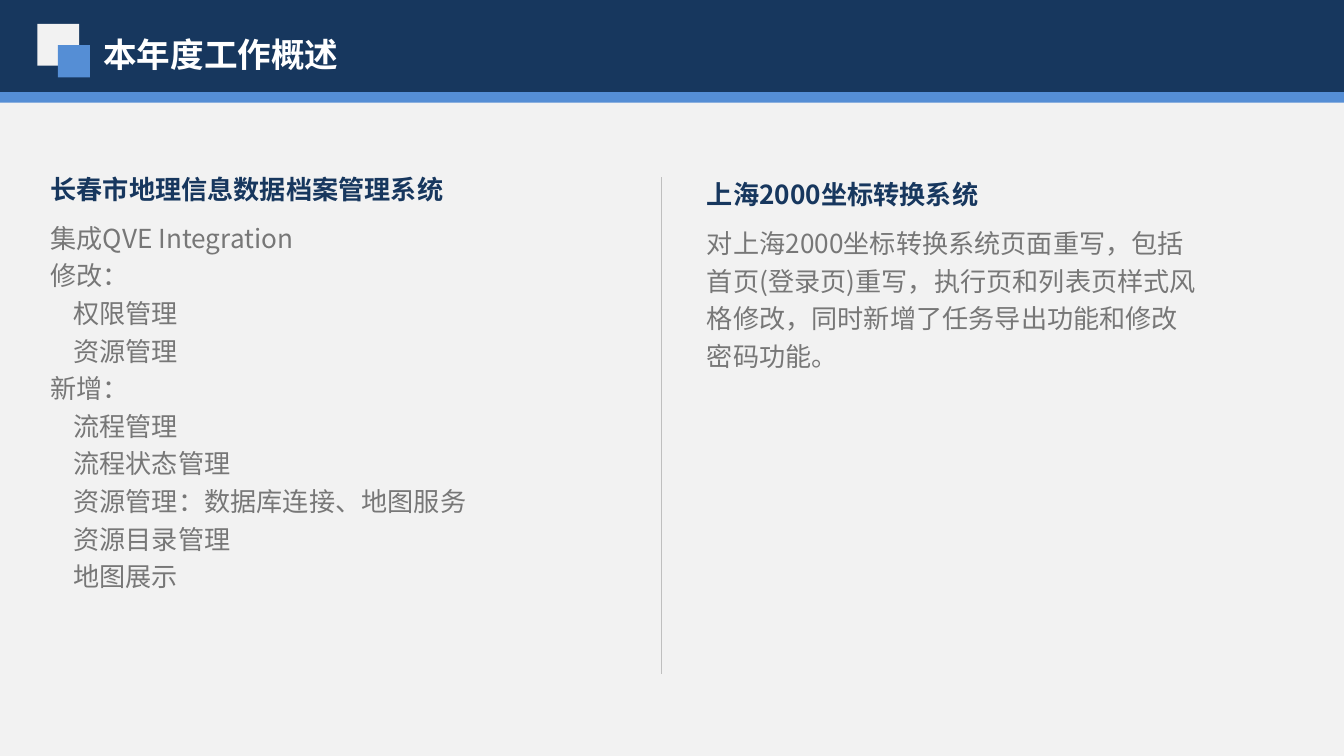
from lxml.etree import SubElement
from pptx import Presentation
from pptx.dml.color import RGBColor
from pptx.enum.shapes import MSO_CONNECTOR, MSO_SHAPE
from pptx.oxml.ns import qn
from pptx.util import Pt

WIDTH, HEIGHT = 720, 405
FONT = "Noto Sans CJK SC"
INDENT = 12.3
COLORS = {
    "background": "F2F2F2",
    "navy": "17375E",
    "blue": "558ED5",
    "white": "FFFFFF",
    "divider": "BFBFBF",
    "body": "777777",
}

# Each body line is (indent level, text).
ARCHIVE_LINES = [
    (0, "集成QVE Integration"),
    (0, "修改："),
    (1, "权限管理"),
    (1, "资源管理"),
    (0, "新增："),
    (1, "流程管理"),
    (1, "流程状态管理"),
    (1, "资源管理：数据库连接、地图服务"),
    (1, "资源目录管理"),
    (1, "地图展示"),
]
COORDINATE_LINES = [
    (0, "对上海2000坐标转换系统页面重写，包括首页(登录页)重写，执行页和列表页样式"
        "风格修改，同时新增了任务导出功能和修改密码功能。"),
]


def color(name):
    return RGBColor.from_string(COLORS[name])


def add_rectangle(slide, left, top, width, height, fill):
    shape = slide.shapes.add_shape(
        MSO_SHAPE.RECTANGLE, Pt(left), Pt(top), Pt(width), Pt(height))
    shape.shadow.inherit = False
    shape.fill.solid()
    shape.fill.fore_color.rgb = color(fill)
    shape.line.fill.background()


def add_text_frame(slide, left, top, width, height):
    box = slide.shapes.add_textbox(Pt(left), Pt(top), Pt(width), Pt(height))
    box.text_frame.word_wrap = True
    return box.text_frame


def write(paragraph, text, size, color_name, bold=False):
    paragraph.text = text
    font = paragraph.font
    font.size = Pt(size)
    font.bold = bold
    font.color.rgb = color(color_name)
    font.name = FONT
    SubElement(font._element, qn("a:ea"), typeface=FONT)


def add_header(slide, left, top, width, height):
    stripe = 5.6
    add_rectangle(slide, left, top, width, height - stripe, "navy")
    add_rectangle(slide, left, top + height - stripe, width, stripe, "blue")
    frame = add_text_frame(slide, left + 48.3, top + 14.4, 181.4, 29)
    write(frame.paragraphs[0], "本年度工作概述", 18, "white", bold=True)
    add_rectangle(slide, left + 20, top + 12.8, 22.4, 22.4, "background")
    add_rectangle(slide, left + 31, top + 24.2, 17.2, 17.2, "blue")


def add_divider(slide, x, top, bottom):
    line = slide.shapes.add_connector(
        MSO_CONNECTOR.STRAIGHT, Pt(x), Pt(top), Pt(x), Pt(bottom))
    line.line.color.rgb = color("divider")
    line.line.width = Pt(0.75)
    SubElement(line._element.spPr, qn("a:effectLst"))


def add_project(slide, left, top, width, height, title, lines):
    frame = add_text_frame(slide, left, top, width, height)
    heading = frame.paragraphs[0]
    write(heading, title, 14, "navy", bold=True)
    heading.space_after = Pt(6)
    for level, text in lines:
        paragraph = frame.add_paragraph()
        write(paragraph, text, 14, "body")
        paragraph.line_spacing = 1.2
        if level:
            paragraph._p.get_or_add_pPr().set("marL", str(Pt(level * INDENT)))


def main():
    presentation = Presentation()
    presentation.slide_width = Pt(WIDTH)
    presentation.slide_height = Pt(HEIGHT)
    slide = presentation.slides.add_slide(presentation.slide_layouts[6])
    slide.background.fill.solid()
    slide.background.fill.fore_color.rgb = color("background")

    add_header(slide, 0, 0, WIDTH, 55)
    add_divider(slide, 354.4, 95, 361.2)
    add_project(slide, 20, 89.3, 328.3, 266.4,
                "长春市地理信息数据档案管理系统", ARCHIVE_LINES)
    add_project(slide, 371.6, 92.2, 277.2, 266.4,
                "上海2000坐标转换系统", COORDINATE_LINES)
    presentation.save("out.pptx")


if __name__ == "__main__":
    main()
